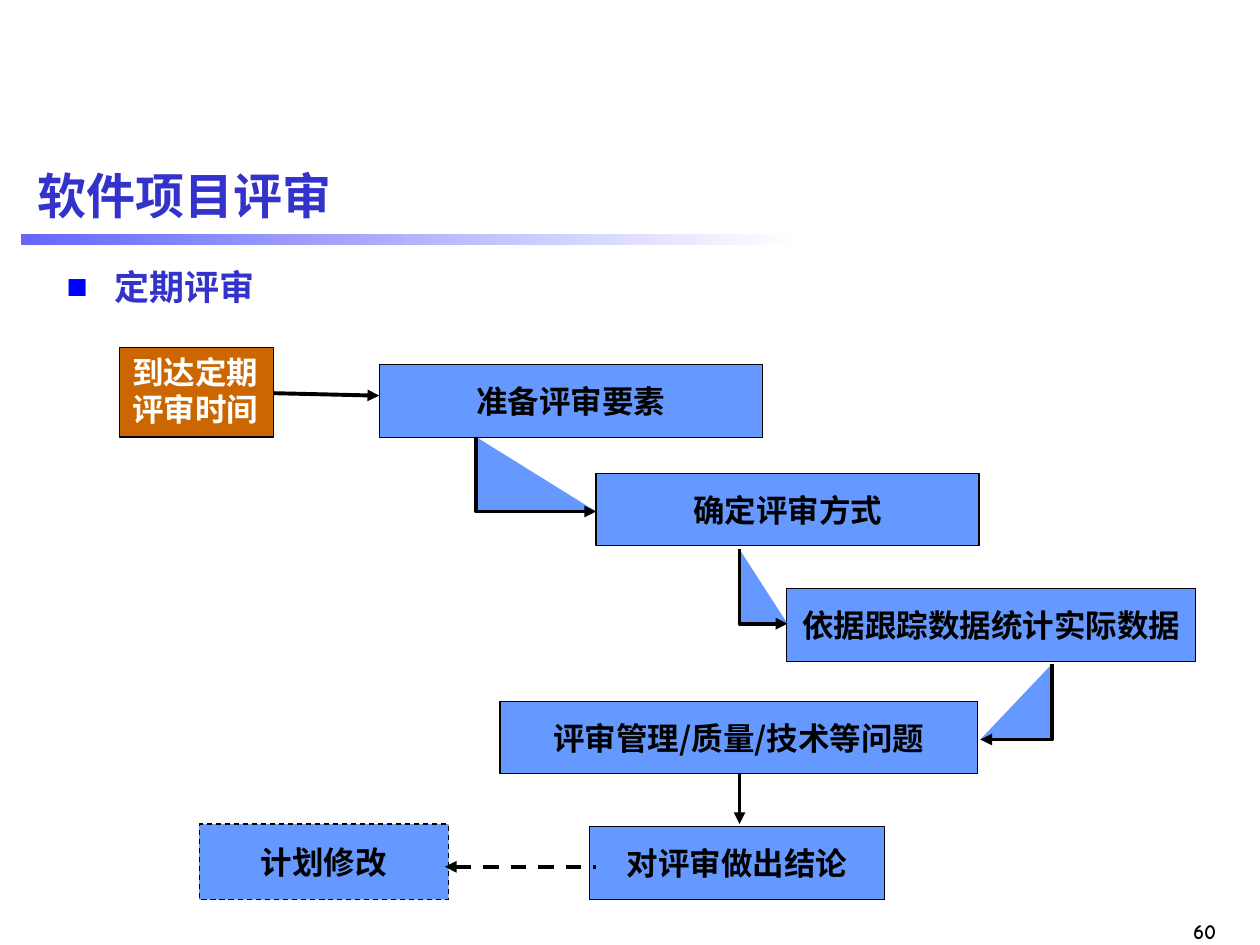
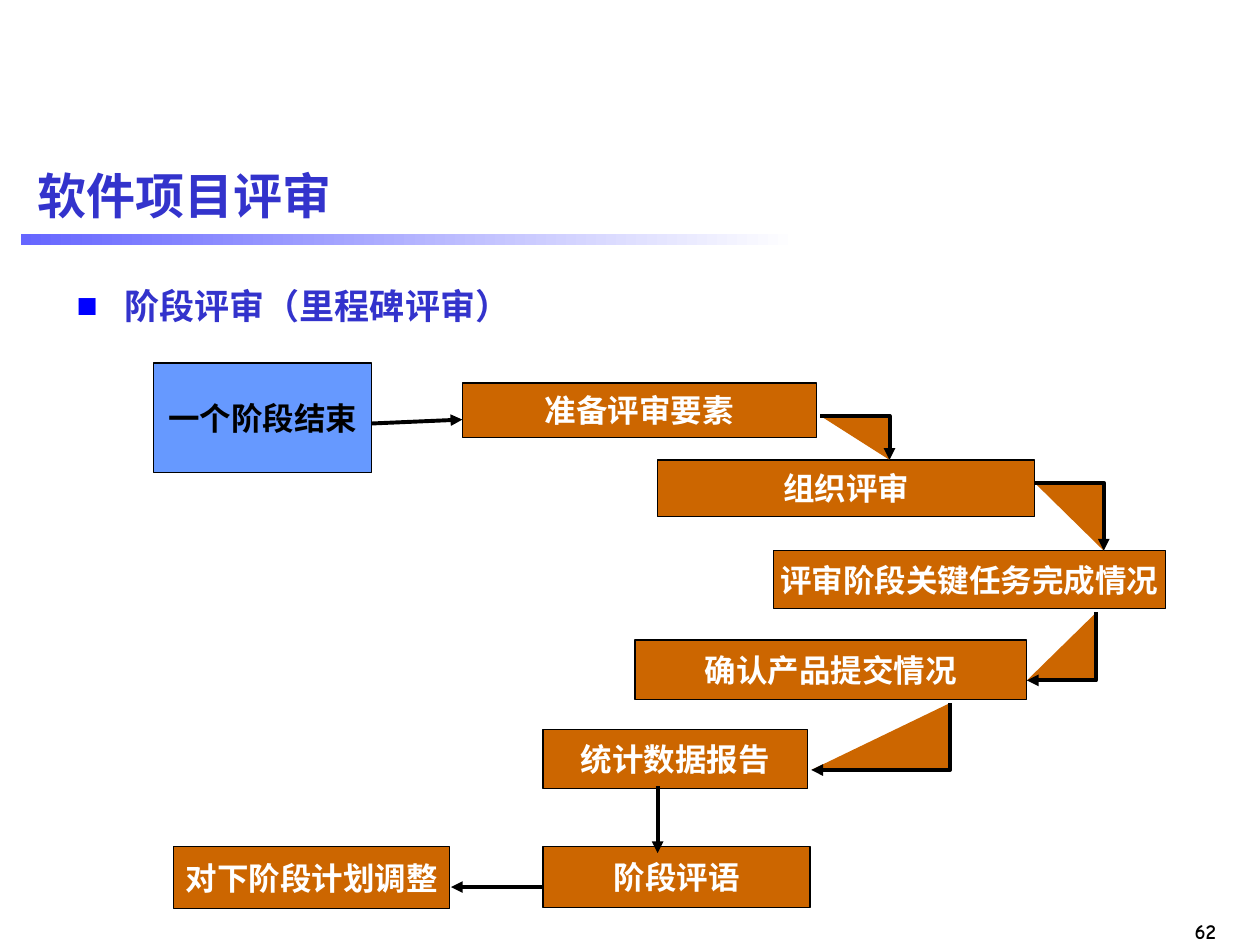
import pptx
import pptx.dml.color
import pptx.enum.dml
import pptx.enum.shapes
import pptx.enum.text
import pptx.oxml
import pptx.oxml.ns
import pptx.util
from lxml import etree

Pt = pptx.util.Pt
ALIGN = pptx.enum.text.PP_ALIGN
ANCHOR = pptx.enum.text.MSO_ANCHOR
RECTANGLE = pptx.enum.shapes.MSO_SHAPE.RECTANGLE
DASH = pptx.enum.dml.MSO_LINE.DASH

CJK_FONT = "Noto Sans CJK SC"
BLACK, WHITE = "000000", "FFFFFF"
INDIGO, BAND_BLUE, BULLET_BLUE = "3333CC", "6666FF", "0000FF"
BLUE, ORANGE = "6699FF", "CC6600"


def color(hex_string):
    return pptx.dml.color.RGBColor.from_string(hex_string)


def add_element(parent, tag, **attributes):
    return etree.SubElement(parent, pptx.oxml.ns.qn(tag), attributes)


def write_text(shape, text, size=18, font=CJK_FONT, fill=BLACK, align=ALIGN.LEFT,
               anchor=ANCHOR.MIDDLE, wrap=False, margins=(7.2, 3.6),
               line_spacing=None, bullet=None):
    """Fill a shape with one paragraph per line of text."""
    frame = shape.text_frame
    frame.word_wrap = wrap
    frame.vertical_anchor = anchor
    frame.margin_left = frame.margin_right = Pt(margins[0])
    frame.margin_top = frame.margin_bottom = Pt(margins[1])
    for index, line in enumerate(text.split("\n")):
        paragraph = frame.paragraphs[0] if index == 0 else frame.add_paragraph()
        paragraph.alignment = align
        paragraph.space_before = Pt(0)
        if line_spacing:
            paragraph.line_spacing = Pt(line_spacing)
        if bullet:
            properties = paragraph._p.get_or_add_pPr()
            indent = Pt(27.4)
            properties.set("marL", str(indent))
            properties.set("indent", str(-indent))
            bullet_color = add_element(properties, "a:buClr")
            add_element(bullet_color, "a:srgbClr", val=BULLET_BLUE)
            add_element(properties, "a:buFont", typeface="Arial")
            add_element(properties, "a:buChar", char=bullet)
        run = paragraph.add_run()
        run.text = line
        run.font.size = Pt(size)
        run.font.bold = True
        run.font.color.rgb = color(fill)
        run.font.name = font
        add_element(run._r.get_or_add_rPr(), "a:ea", typeface=CJK_FONT)


def add_text(slide, box, text, **text_format):
    shape = slide.shapes.add_textbox(*map(Pt, box))
    write_text(shape, text, **text_format)


def style_arrow(shape, dashed=False, end="a:tailEnd"):
    shape.line.color.rgb = color(BLACK)
    shape.line.width = Pt(2.25)
    if dashed:
        shape.line.dash_style = DASH
    properties = shape._element.spPr
    add_element(properties.find(pptx.oxml.ns.qn("a:ln")), end, type="triangle")


class Flowchart:
    """Boxes and arrows placed relative to one corner of the slide."""

    def __init__(self, slide, left, top):
        self.shapes = slide.shapes
        self.left, self.top = left, top

    def point(self, x, y):
        return Pt(self.left + x), Pt(self.top + y)

    def step(self, text, box, fill, dashed=False, **text_format):
        x, y, width, height = box
        shape = self.shapes.add_shape(RECTANGLE, *self.point(x, y), Pt(width), Pt(height))
        shape.shadow.inherit = False
        shape.fill.solid()
        shape.fill.fore_color.rgb = color(fill)
        shape.line.color.rgb = color(BLACK)
        shape.line.width = Pt(0.75)
        if dashed:
            shape.line.dash_style = DASH
        settings = {"align": ALIGN.CENTER, "margins": (0, 0),
                    "fill": WHITE if fill == ORANGE else BLACK}
        write_text(shape, text, **{**settings, **text_format})

    def arrow(self, start, finish, **arrow_format):
        connector = self.shapes.add_connector(
            pptx.enum.shapes.MSO_CONNECTOR.STRAIGHT,
            *self.point(*start), *self.point(*finish))
        style_arrow(connector, **arrow_format)
        add_element(connector._element.spPr, "a:effectLst")

    def elbow(self, start, finish, fill, across_first=False):
        """Draw a filled right-angled arrow."""
        corner = (finish[0], start[1]) if across_first else (start[0], finish[1])
        builder = self.shapes.build_freeform(*self.point(*start))
        builder.add_line_segments([self.point(*corner), self.point(*finish)], close=False)
        shape = builder.convert_to_shape()
        shape.shadow.inherit = False
        shape.fill.solid()
        shape.fill.fore_color.rgb = color(fill)
        style_arrow(shape)


def add_review_slide(presentation, number, heading, heading_box):
    """Add a slide with the shared title, band, page number and a heading."""
    slide = presentation.slides.add_slide(presentation.slide_layouts[5])

    # Gradient band
    band = slide.shapes.add_shape(RECTANGLE, Pt(12), Pt(134), Pt(444), Pt(6))
    band.shadow.inherit = False
    band.line.fill.background()
    band.fill.gradient()
    band.fill.gradient_angle = 0
    for stop, stop_color in zip(band.fill.gradient_stops, (BAND_BLUE, WHITE)):
        stop.color.rgb = color(stop_color)

    # Title
    title = slide.shapes.title
    title.left, title.top, title.width, title.height = map(Pt, (14.4, 82.8, 692, 57))
    write_text(title, "软件项目评审", size=28, font="Arial", fill=INDIGO, wrap=True)

    # Page number and heading
    add_text(slide, (662.4, 521.3, 39.6, 21.6), str(number), size=12,
             font="Comic Neue", align=ALIGN.RIGHT, anchor=ANCHOR.TOP)
    add_text(slide, heading_box, heading, size=20, fill=INDIGO,
             anchor=ANCHOR.TOP, wrap=True, bullet="■")
    return slide


def draw_periodic_review(slide, left, top):
    chart = Flowchart(slide, left, top)

    # Steps
    chart.step("到达定期\n评审时间", (0, 0, 87.8, 51.1), ORANGE, align=ALIGN.JUSTIFY,
               anchor=ANCHOR.TOP, margins=(7.2, 3.6), line_spacing=21)
    for text, box in [
        ("准备评审要素", (148.3, 9.4, 218.9, 41.8)),
        ("确定评审方式", (272.2, 72, 218.9, 41)),
        ("依据跟踪数据统计实际数据", (380.9, 137.5, 234, 41.8)),
        ("评审管理/质量/技术等问题", (217.4, 202.3, 272.9, 41)),
        ("对评审做出结论", (268.6, 273.6, 168.5, 41.8)),
    ]:
        chart.step(text, box, BLUE)
    chart.step("计划修改", (45.4, 272.2, 142.6, 43.2), BLUE, dashed=True)

    # Arrows
    chart.arrow((87.8, 26), (148.3, 27.4))
    chart.arrow((185.8, 296.6), (272.2, 296.6), dashed=True, end="a:headEnd")
    for start, finish in [
        ((203.8, 51.1), (272.2, 93.6)),
        ((354.2, 115.2), (381.6, 157.7)),
        ((532.8, 180.7), (491.8, 223.9)),
    ]:
        chart.elbow(start, finish, BLUE)
    chart.arrow((354.2, 243.4), (354.2, 272.2))


def draw_milestone_review(slide, left, top):
    chart = Flowchart(slide, left, top)

    # Steps
    chart.step("一个阶段结束", (0, 0, 124.6, 62.6), BLUE, font="Times New Roman")
    for text, box, font in [
        ("准备评审要素", (176.4, 11.5, 202.3, 31), "Times New Roman"),
        ("组织评审", (288, 55.4, 215.3, 32.4), "Arial"),
        ("评审阶段关键任务完成情况", (354.2, 107.3, 223.9, 33.1), "Times New Roman"),
        ("确认产品提交情况", (275, 158.4, 223.9, 33.8), "Times New Roman"),
        ("统计数据报告", (222.5, 209.5, 151.2, 33.8), "Times New Roman"),
        ("阶段评语", (222.5, 276.5, 152.6, 34.6), "Times New Roman"),
        ("对下阶段计划调整", (11.5, 276.5, 157.7, 35.3), "Times New Roman"),
    ]:
        chart.step(text, box, ORANGE, font=font)

    # Arrows
    for start, finish, across_first in [
        ((380.9, 30.2), (420.5, 55.4), True),
        ((503.3, 68.4), (542.9, 107.3), True),
        ((538.6, 142.6), (499, 181.4), False),
        ((455, 194.4), (375.8, 232.6), False),
    ]:
        chart.elbow(start, finish, ORANGE, across_first)
    for start, finish in [
        ((124.6, 34.6), (176.4, 32.4)),
        ((288, 241.9), (288, 280.1)),
        ((222.5, 299.5), (169.9, 299.5)),
    ]:
        chart.arrow(start, finish)


def main():
    presentation = pptx.Presentation()
    presentation.slide_width, presentation.slide_height = Pt(720), Pt(540)

    slide = add_review_slide(presentation, 60, "定期评审", (31, 148, 661, 36))
    draw_periodic_review(slide, 68.4, 198.7)

    slide = add_review_slide(presentation, 62, "阶段评审（里程碑评审）", (36.7, 159, 669, 36))
    draw_milestone_review(slide, 87.8, 207.4)

    presentation.save("out.pptx")


if __name__ == "__main__":
    main()
